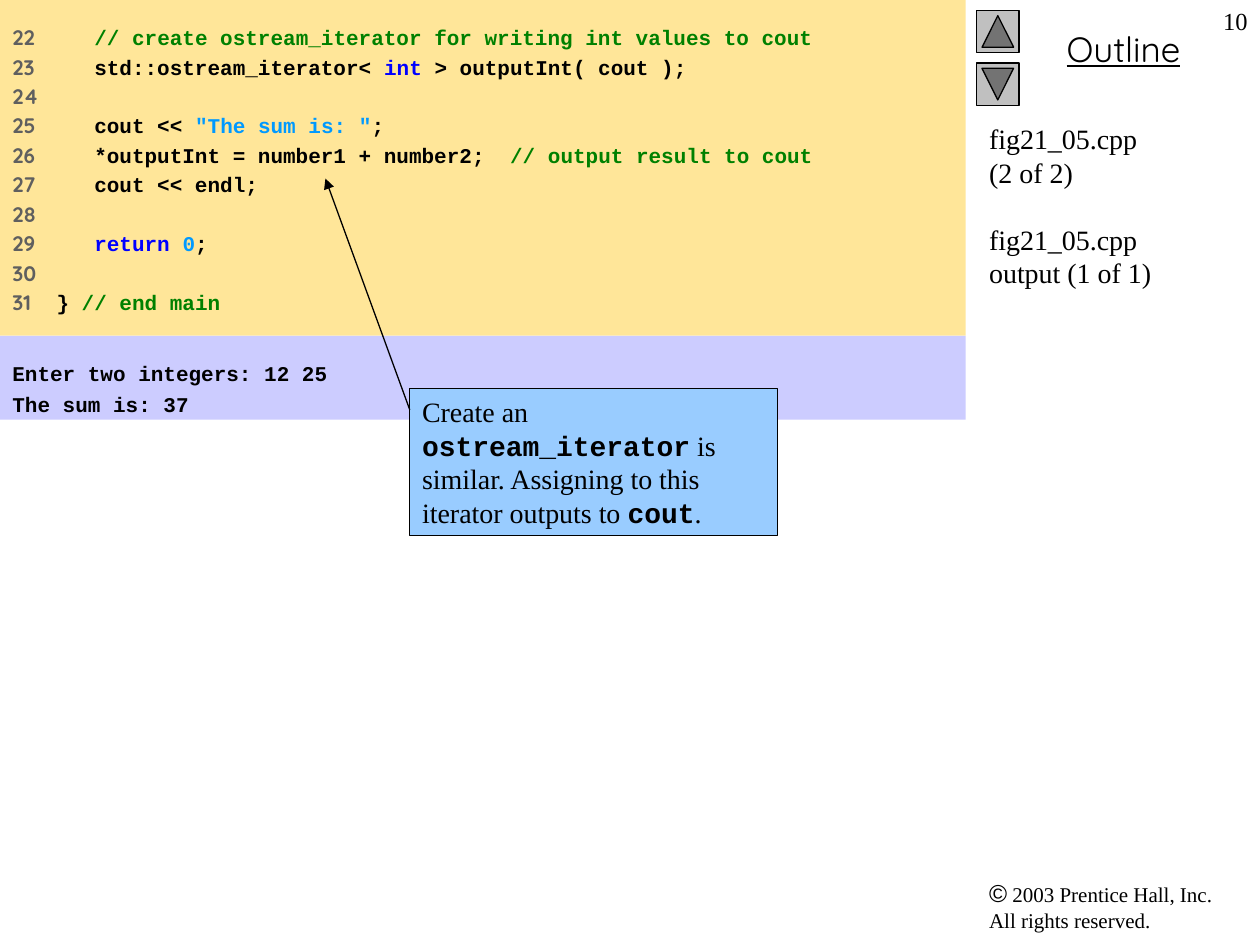
from dataclasses import dataclass

from lxml.etree import SubElement
from pptx import Presentation
from pptx.dml.color import RGBColor
from pptx.enum.shapes import MSO_CONNECTOR as Connector, MSO_SHAPE as Shape
from pptx.enum.text import MSO_ANCHOR as Anchor, PP_ALIGN as Align
from pptx.oxml.ns import qn
from pptx.util import Cm, Pt


@dataclass(frozen=True)
class Theme:
    """Colours, fonts and type sizes of the slide."""
    serif: str = "Times New Roman"
    mono: str = "Courier New"
    display: str = "Quicksand"
    symbol: str = "Arial"
    ink: str = "000000"
    number: str = "5F5F5F"
    comment: str = "008000"
    keyword: str = "0000FF"
    literal: str = "0099FF"
    code_fill: str = "FFE699"
    output_fill: str = "CCCCFF"
    callout_fill: str = "99CCFF"
    button_fill: str = "C0C0C0"
    code_size: float = 12
    body_size: float = 16
    heading_size: float = 20
    page_size: float = 14
    hairline: float = 0.75


THEME = Theme()
INDENT = "   "
CODE_LINES = [
    [(INDENT, "ink"), ("// create ostream_iterator for writing int values to cout", "comment")],
    [(INDENT + "std::ostream_iterator< ", "ink"), ("int", "keyword"),
     (" > outputInt( cout );", "ink")],
    [],
    [(INDENT + "cout << ", "ink"), ('"The sum is: "', "literal"), (";", "ink")],
    [(INDENT + "*outputInt = number1 + number2;  ", "ink"),
     ("// output result to cout", "comment")],
    [(INDENT + "cout << endl;", "ink")],
    [],
    [(INDENT + "return ", "keyword"), ("0", "literal"), (";", "ink")],
    [],
    [("} ", "ink"), ("// end main", "comment")],
]
FIRST_LINE = 22


def style(span, font, size, color=THEME.ink, bold=False, underline=False):
    """Format one run."""
    span.font.name, span.font.size = font, Pt(size)
    span.font.bold, span.font.underline = bold, underline
    span.font.color.rgb = RGBColor.from_string(color)


def add_span(para, text, *look, **options):
    """Append a formatted run to a paragraph."""
    span = para.add_run()
    span.text = text
    style(span, *look, **options)


def prepare_frame(box, inset=0.13):
    """Set wrapping, anchor and insets, and return the text frame."""
    frame = box.text_frame
    frame.word_wrap = True
    frame.vertical_anchor = Anchor.TOP
    frame.margin_left = frame.margin_right = Cm(0.25)
    frame.margin_top = frame.margin_bottom = Cm(inset)
    return frame


def add_label(page, place, paragraphs, font, size, gap=0, align=Align.LEFT, underline=False):
    """Add a text box in a single style."""
    frame = prepare_frame(page.shapes.add_textbox(*map(Cm, place)))
    frame.text = "\n".join(paragraphs)
    for index, para in enumerate(frame.paragraphs):
        para.alignment = align
        if index:
            para.space_before = Pt(gap)
        for span in para.runs:
            style(span, font, size, underline=underline)


def add_panel(page, place, fill, kind=Shape.RECTANGLE, outlined=False):
    """Add a filled shape without shadow."""
    panel = page.shapes.add_shape(kind, *map(Cm, place))
    panel.shadow.inherit = False
    panel.fill.solid()
    panel.fill.fore_color.rgb = RGBColor.from_string(fill)
    if outlined:
        panel.line.color.rgb = RGBColor.from_string(THEME.ink)
        panel.line.width = Pt(THEME.hairline)
    else:
        panel.line.fill.background()
    return panel


def next_paragraph(frame, index, gap):
    """Return the paragraph at index, left aligned and spaced after the first."""
    para = frame.add_paragraph() if index else frame.paragraphs[0]
    para.alignment = Align.LEFT
    if index:
        para.space_before = Pt(gap)
    return para


def add_code(page):
    """Add the numbered program listing."""
    frame = prepare_frame(add_panel(page, (0, 0, 19.47, 6.77), THEME.code_fill), 0.5)
    for index, pieces in enumerate(CODE_LINES):
        para = next_paragraph(frame, index, 2.4)
        number = str(FIRST_LINE + index)
        if pieces:
            number += "\t"
            tabs = SubElement(para._p.get_or_add_pPr(), qn("a:tabLst"))
            SubElement(tabs, qn("a:tab"), pos=str(Cm(0.89)), algn="l")
        add_span(para, number, THEME.display, THEME.code_size, THEME.number, bold=True)
        for text, role in pieces:
            add_span(para, text, THEME.mono, THEME.code_size, getattr(THEME, role), bold=True)


def add_output(page):
    """Add the program output panel."""
    frame = prepare_frame(add_panel(page, (0, 6.77, 19.47, 1.69), THEME.output_fill), 0.5)
    for index, text in enumerate(["Enter two integers: 12 25", "The sum is: 37"]):
        para = next_paragraph(frame, index, 3)
        add_span(para, text, THEME.mono, THEME.code_size, bold=True)


def add_callout(page):
    """Add the explanation box and its arrow."""
    box = add_panel(page, (8.26, 7.83, 7.41, 2.96), THEME.callout_fill, outlined=True)
    para = next_paragraph(prepare_frame(box), 0, 0)
    pieces = ["Create an ", "ostream_iterator",
              " is similar. Assigning to this iterator outputs to ", "cout", "."]
    for index, text in enumerate(pieces):
        is_code = index % 2 == 1
        add_span(para, text, THEME.mono if is_code else THEME.serif, THEME.body_size, bold=is_code)
    arrow = page.shapes.add_connector(Connector.STRAIGHT, *map(Cm, (8.26, 8.26, 6.56, 3.6)))
    arrow.line.color.rgb = RGBColor.from_string(THEME.ink)
    arrow.line.width = Pt(THEME.hairline)
    SubElement(arrow.line._get_or_add_ln(), qn("a:tailEnd"), type="triangle")
    SubElement(arrow._element.spPr, qn("a:effectLst"))


def add_buttons(page):
    """Add the up and down navigation buttons."""
    for top, turn in ((0.21, 90), (1.27, 270)):
        button = add_panel(page, (19.69, top, 0.85, 0.85), THEME.button_fill,
                           Shape.ACTION_BUTTON_BACK_OR_PREVIOUS, outlined=True)
        button.rotation = turn


def add_copyright(page):
    """Add the copyright line."""
    box = page.shapes.add_textbox(*map(Cm, (19.69, 17.57, 5.5, 1.38)))
    para = prepare_frame(box).paragraphs[0]
    para.text = "©\vAll rights reserved."
    symbol, rights = para.runs
    style(symbol, THEME.symbol, THEME.page_size)
    style(rights, THEME.serif, THEME.code_size)
    add_span(para, " 2003 Prentice Hall, Inc.", THEME.serif, THEME.code_size)
    symbol._r.addnext(para.runs[-1]._r)


def main():
    """Build and save the slide."""
    deck = Presentation()
    deck.slide_width, deck.slide_height = Cm(25.4), Cm(19.05)
    page = deck.slides.add_slide(deck.slide_layouts[6])
    add_copyright(page)
    add_label(page, (19.9, 0.42, 5.5, 1.12), ["Outline"], THEME.display,
              THEME.heading_size, align=Align.CENTER, underline=True)
    add_buttons(page)
    add_label(page, (19.69, 2.33, 5.71, 13.33),
              ["fig21_05.cpp\v(2 of 2)", "fig21_05.cpp\voutput (1 of 1)"],
              THEME.serif, THEME.body_size, gap=19)
    add_code(page)
    add_output(page)
    add_callout(page)
    add_label(page, (24.13, 0, 1.27, 1.27), ["10"], THEME.serif,
              THEME.page_size, align=Align.RIGHT)
    deck.save("out.pptx")


if __name__ == "__main__":
    main()
